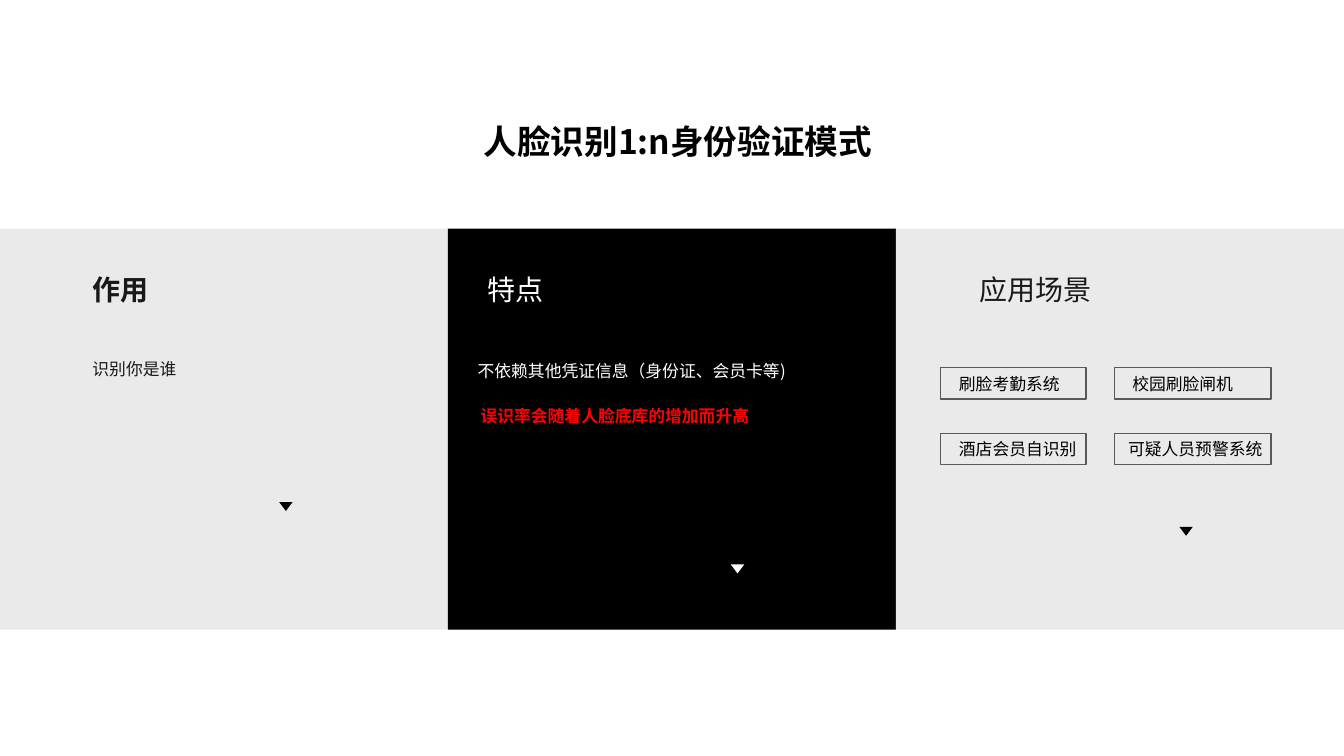
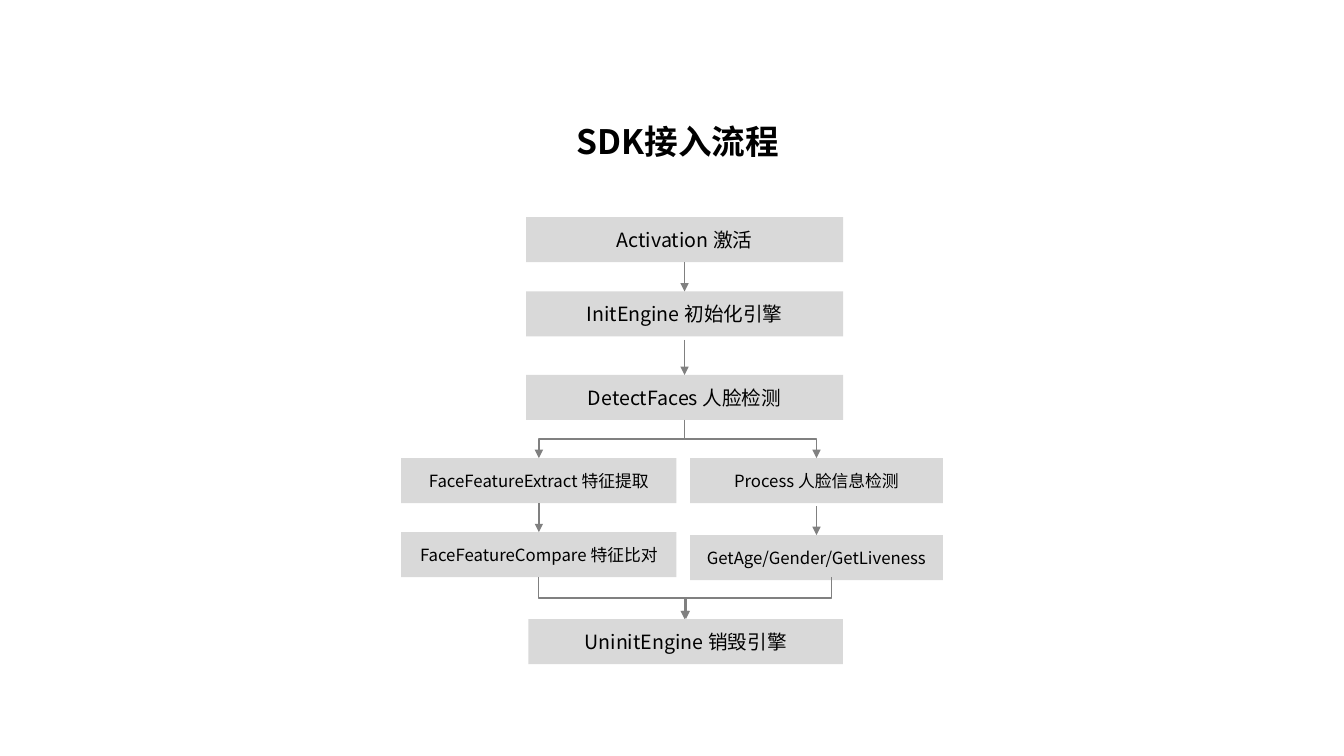
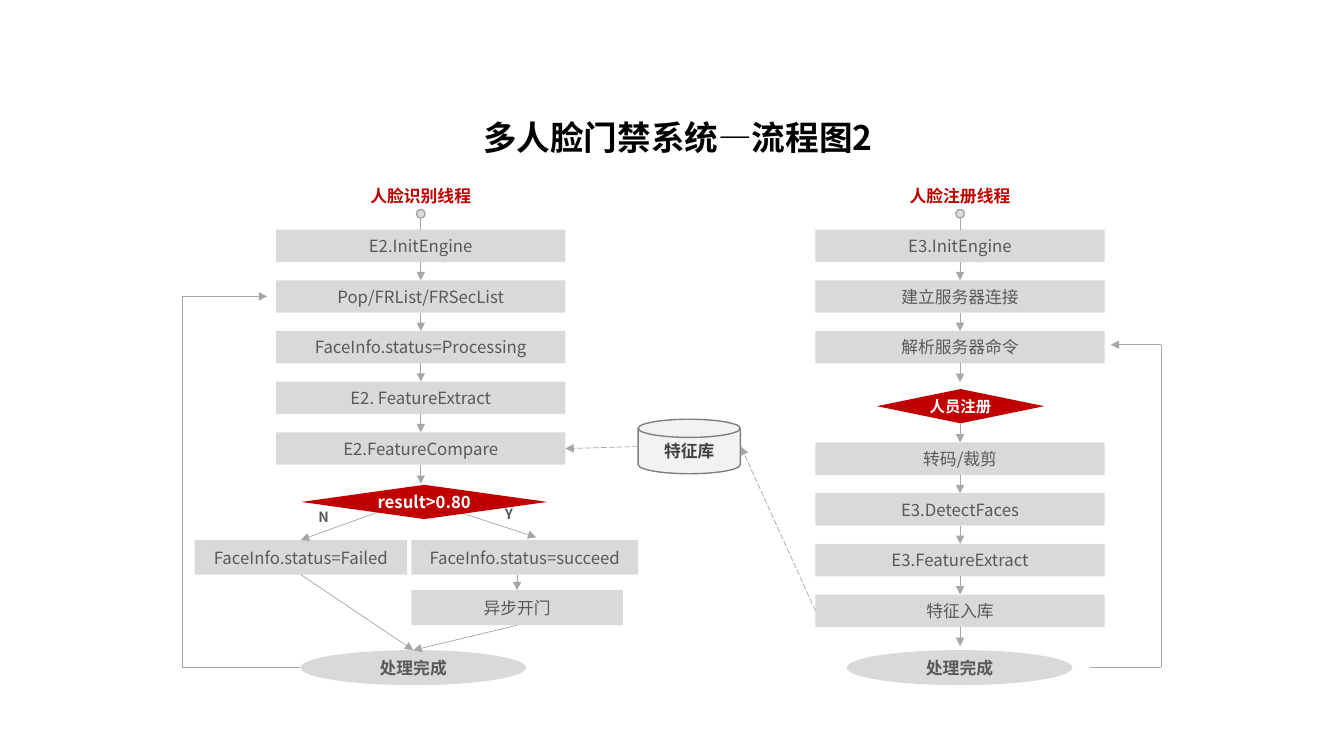
"""Build three slides on face recognition modes and SDK flows."""
from dataclasses import dataclass
from itertools import pairwise
from typing import Any, Optional

from lxml import etree
from pptx import Presentation
from pptx.dml.color import RGBColor
from pptx.enum import dml, shapes, text
from pptx.oxml.ns import qn
from pptx.util import Pt

FONT = "Noto Sans CJK SC"
BLACK, WHITE, INK = "000000", "FFFFFF", "191919"
PANEL, BOX, GREY, RED = "EAEAEA", "D9D9D9", "595959", "C00000"
FLOW_LINE, THREAD_LINE = "808080", "A6A6A6"
KIND = shapes.MSO_SHAPE
LEFT, CENTER = text.PP_ALIGN.LEFT, text.PP_ALIGN.CENTER
TOP_SIDE, LEFT_SIDE, BOTTOM_SIDE, RIGHT_SIDE = range(4)
Point = tuple[float, float]


@dataclass(frozen=True)
class Style:
    size: float = 12
    color: str = BLACK
    bold: bool = False
    align: Any = LEFT
    spacing: Optional[float] = None


@dataclass(frozen=True)
class Label:
    x: float
    y: float
    w: float
    h: float
    words: str
    style: Style = Style()


@dataclass(frozen=True)
class Node:
    x: float
    y: float
    w: float
    h: float
    words: str = ""
    style: Style = Style(align=CENTER)
    kind: Any = KIND.RECTANGLE
    fill: Optional[str] = BOX
    line: Optional[str] = None
    inset: float = 0
    rotation: float = 0


@dataclass(frozen=True)
class Joint:
    node: Any
    side: int


End = Point | Joint

TITLE = Style(24, BLACK, True, CENTER, 0.9)
STEP = Style(12, GREY, align=CENTER)
STRONG_STEP = Style(12, GREY, True, CENTER)


def rgb(value: str) -> RGBColor:
    """Turn a hex string into a colour."""
    return RGBColor.from_string(value)


def write(frame: Any, words: str, style: Style) -> None:
    """Put one styled paragraph in a text frame."""
    frame.text = words
    frame.word_wrap = True
    paragraph = frame.paragraphs[0]
    paragraph.alignment = style.align
    if style.spacing:
        paragraph.line_spacing = style.spacing
    for run in paragraph.runs:
        run.font.size = Pt(style.size)
        run.font.bold = style.bold
        run.font.color.rgb = rgb(style.color)
        run.font.name = FONT
        east_asian = etree.SubElement(run._r.get_or_add_rPr(), qn("a:ea"))
        east_asian.set("typeface", FONT)


def draw_label(slide: Any, label: Label) -> Any:
    """Draw free-standing text and return its frame."""
    box = slide.shapes.add_textbox(Pt(label.x), Pt(label.y), Pt(label.w), Pt(label.h))
    write(box.text_frame, label.words, label.style)
    return box.text_frame


def draw_node(slide: Any, node: Node) -> Any:
    """Draw a filled or outlined shape with optional centred text."""
    shape = slide.shapes.add_shape(node.kind, Pt(node.x), Pt(node.y), Pt(node.w), Pt(node.h))
    shape.shadow.inherit = False
    shape.rotation = node.rotation
    if node.fill:
        shape.fill.solid()
        shape.fill.fore_color.rgb = rgb(node.fill)
    else:
        shape.fill.background()
    if node.line:
        shape.line.color.rgb = rgb(node.line)
        shape.line.width = Pt(1)
    else:
        shape.line.fill.background()
    if node.words:
        frame = shape.text_frame
        write(frame, node.words, node.style)
        frame.vertical_anchor = text.MSO_ANCHOR.MIDDLE
        frame.margin_left = Pt(node.inset)
        frame.margin_right = frame.margin_top = frame.margin_bottom = 0
    return shape


def style_line(connector: Any, color: str, width: float, head: bool, dashed: bool = False) -> None:
    """Give a connector its colour, width, dash and arrowhead."""
    connector.line.color.rgb = rgb(color)
    connector.line.width = Pt(width)
    if dashed:
        connector.line.dash_style = dml.MSO_LINE.LONG_DASH
    if head:
        etree.SubElement(connector.line._get_or_add_ln(), qn("a:tailEnd")).set("type", "triangle")
    etree.SubElement(connector._element.spPr, qn("a:effectLst"))


def draw_line(slide: Any, start: End, end: End, color: str = THREAD_LINE, width: float = 0.5,
              head: bool = True, dashed: bool = False) -> None:
    """Draw a straight line between points or shape sides."""
    (x1, y1), (x2, y2) = ((0, 0) if isinstance(e, Joint) else e for e in (start, end))
    connector = slide.shapes.add_connector(
        shapes.MSO_CONNECTOR.STRAIGHT, Pt(x1), Pt(y1), Pt(x2), Pt(y2))
    if isinstance(start, Joint):
        connector.begin_connect(start.node, start.side)
    if isinstance(end, Joint):
        connector.end_connect(end.node, end.side)
    style_line(connector, color, width, head, dashed)


def draw_elbow(slide: Any, start: Point, end: Point) -> None:
    """Draw a down-across-down connector as a turned elbow."""
    (x1, y1), (x2, y2) = start, end
    mid_x, mid_y = (x1 + x2) / 2, (y1 + y2) / 2
    rightward = x2 > x1
    half_w = (y2 - y1) / 2 * (-1 if rightward else 1)
    half_h = abs(x2 - x1) / 2
    connector = slide.shapes.add_connector(
        shapes.MSO_CONNECTOR.ELBOW, Pt(mid_x - half_w), Pt(mid_y - half_h),
        Pt(mid_x + half_w), Pt(mid_y + half_h))
    turn = 270 if rightward else 90
    connector._element.spPr.find(qn("a:xfrm")).set("rot", str(turn * 60000))
    style_line(connector, FLOW_LINE, 1, True)


def draw_route(slide: Any, points: list[Point]) -> None:
    """Draw a chain of straight lines with an arrowhead on the last."""
    for start, end in pairwise(points):
        draw_line(slide, start, end, head=end == points[-1])


def draw_thread(slide: Any, x: float, y: float, steps: list[str]) -> list[Any]:
    """Draw a column of thread steps joined by arrows."""
    nodes = [draw_node(slide, Node(x, y + i * 36.2, 206.6, 23.2, step, STEP))
             for i, step in enumerate(steps)]
    for upper, lower in pairwise(nodes):
        draw_line(slide, Joint(upper, BOTTOM_SIDE), Joint(lower, TOP_SIDE))
    return nodes


def draw_thread_start(slide: Any, name: str, first: Any, center: float) -> None:
    """Draw the heading and start dot above a thread."""
    draw_line(slide, (center, 155), Joint(first, TOP_SIDE), head=False)
    draw_node(slide, Node(center - 3, 149.7, 6, 6, kind=KIND.OVAL, fill="DDDDDD", line="A3A3A3"))
    draw_label(slide, Label(center - 44, 128.9, 88, 21.6, name, Style(12, RED, True, CENTER)))


def new_slide(deck: Any, title: str, top: float = 89.3) -> Any:
    """Add a blank slide with the shared title."""
    slide = deck.slides.add_slide(deck.slide_layouts[6])
    frame = draw_label(slide, Label(49.7, top, 869, 37.4, title, TITLE))
    frame.margin_left = frame.margin_right = frame.margin_top = frame.margin_bottom = 0
    return slide


def build_mode(deck: Any) -> None:
    """Build the 1:n verification mode slide."""
    slide = new_slide(deck, "人脸识别1:n身份验证模式")
    for column, fill in enumerate((PANEL, BLACK, PANEL)):
        draw_node(slide, Node(column * 320, 163.4, 320, 286.4, fill=fill))
    for x, y, fill in ((522, 403.2, WHITE), (199.4, 358.6, BLACK), (842.4, 376.3, BLACK)):
        draw_node(slide, Node(x, y, 9.6, 6.4, kind=KIND.ISOSCELES_TRIANGLE, fill=fill, rotation=180))
    for x, heading, color, bold in ((59, "作用", INK, True), (341.3, "特点", WHITE, False),
                                    (692.6, "应用场景", INK, False)):
        draw_label(slide, Label(x, 190.8, 96.5, 31.7, heading, Style(20, color, bold)))
    for label in (
        Label(59, 245.5, 115.2, 26.6, "识别你是谁", Style(12, INK, spacing=1.5)),
        Label(334.1, 254.2, 241.2, 21.6, "不依赖其他凭证信息（身份证、会员卡等)", Style(12, WHITE)),
        Label(336.2, 286.6, 214.6, 21.6, "误识率会随着人脸底库的增加而升高", Style(12, "FF0000", True)),
    ):
        draw_label(slide, label)
    scenes = ((("刷脸考勤系统", 13), ("校园刷脸闸机", 12.6)),
              (("酒店会员自识别", 13), ("可疑人员预警系统", 9.6)))
    for row, pair in enumerate(scenes):
        for (scene, inset), (x, w) in zip(pair, ((672, 103.7), (796.2, 111.6))):
            draw_node(slide, Node(x, 262.6 + row * 46.9, w, 22.5, scene, Style(), fill=None,
                                  line=GREY, inset=inset))


def build_sdk(deck: Any) -> None:
    """Build the SDK integration flow slide."""
    slide = new_slide(deck, "SDK接入流程")
    large = Style(14, align=CENTER)
    main, left, right = (375.8, 226.4), (286.6, 196.6), (492.9, 180.6)

    def step(lane: Point, y: float, words: str, style: Style = Style(align=CENTER)) -> Any:
        """Draw one flow step in a lane."""
        return draw_node(slide, Node(lane[0], y, lane[1], 32.2, words, style))

    activation = step(main, 155.1, "Activation 激活", large)
    init = step(main, 208.2, "InitEngine 初始化引擎", large)
    detect = step(main, 267.8, "DetectFaces 人脸检测", large)
    extract = step(left, 327.2, "FaceFeatureExtract 特征提取")
    compare = step(left, 380.1, "FaceFeatureCompare 特征比对")
    step(right, 327.2, "Process 人脸信息检测")
    attributes = step(right, 382.2, "GetAge/Gender/GetLiveness")
    step((377.4, 224.8), 442.2, "UninitEngine 销毁引擎", large)

    for start, end in (
        (Joint(activation, BOTTOM_SIDE), Joint(init, TOP_SIDE)),
        ((489, 242.8), Joint(detect, TOP_SIDE)),
        (Joint(extract, BOTTOM_SIDE), Joint(compare, TOP_SIDE)),
        ((583.2, 361.5), Joint(attributes, TOP_SIDE)),
    ):
        draw_line(slide, start, end, FLOW_LINE, 1)
    for start, end in (
        ((489, 300), (583.2, 327.2)), ((489, 300), (384.9, 327.2)),
        ((384.9, 412.3), (490, 442.2)), ((594, 412.3), (489, 442.2)),
    ):
        draw_elbow(slide, start, end)


def build_access(deck: Any) -> None:
    """Build the multi-face access control flow slide."""
    slide = new_slide(deck, "多人脸门禁系统—流程图2", 86.4)
    failed = draw_node(slide, Node(139, 385.7, 151.9, 24.8, "FaceInfo.status=Failed", STEP))
    succeed = Node(293.8, 385.7, 162, 24.8, "FaceInfo.status=succeed", STEP)
    draw_node(slide, succeed)
    unlock = draw_node(slide, Node(293.8, 421.6, 151.2, 25, "异步开门", STEP))
    draw_line(slide, (272.2, 365), Joint(failed, TOP_SIDE))
    draw_line(slide, (325.4, 365), (383, 383.8))

    recognition = draw_thread(slide, 197.3, 164, [
        "E2.InitEngine", "Pop/FRList/FRSecList", "FaceInfo.status=Processing",
        "E2. FeatureExtract", "E2.FeatureCompare"])
    registration = draw_thread(slide, 582.5, 164, ["E3.InitEngine", "建立服务器连接", "解析服务器命令"])
    storage = draw_thread(slide, 582.5, 316.1, [
        "转码/裁剪", "E3.DetectFaces", "E3.FeatureExtract", "特征入库"])
    draw_thread_start(slide, "人脸识别线程", recognition[0], 300.6)
    draw_thread_start(slide, "人脸注册线程", registration[0], 685.8)

    for x, y, w, words, size in ((215.3, 346.3, 175.7, "result>0.80", 12),
                                 (626.4, 277.9, 119.5, "人员注册", 11)):
        draw_node(slide, Node(x, y, w, 24.5, words, Style(size, WHITE, True, CENTER),
                              KIND.FLOWCHART_DECISION, RED))
    for x in (214.6, 604.8):
        draw_node(slide, Node(x, 464.4, 161.3, 25, "处理完成", STRONG_STEP, KIND.OVAL))
    draw_node(slide, Node(455.8, 299.5, 73, 38.9, "特征库", Style(12, "404040", True, CENTER),
                          KIND.FLOWCHART_MAGNETIC_DISK, "F2F2F2", FLOW_LINE))
    for x, y, branch in ((220.3, 360, "N"), (353.5, 357.8, "Y")):
        draw_label(slide, Label(x, y, 22.3, 19.4, branch, Style(10, GREY, True)))

    finish = (295.2, 464.4)
    for start, end in (
        (Joint(recognition[-1], BOTTOM_SIDE), (300.6, 345.6)),
        (Joint(registration[-1], BOTTOM_SIDE), (685.8, 272.9)),
        ((685.8, 303), Joint(storage[0], TOP_SIDE)),
        (Joint(storage[-1], BOTTOM_SIDE), (685.8, 461.5)),
        ((369.4, 410.5), Joint(unlock, TOP_SIDE)),
        (Joint(unlock, BOTTOM_SIDE), finish),
        (Joint(failed, BOTTOM_SIDE), finish),
    ):
        draw_line(slide, start, end)
    draw_line(slide, (455.8, 319), Joint(recognition[-1], RIGHT_SIDE), dashed=True)
    draw_line(slide, Joint(storage[-1], LEFT_SIDE), (529.2, 319), dashed=True)
    draw_route(slide, [(214.6, 476.6), (130.3, 476.6), (130.3, 211.7), (190.8, 211.7)])
    draw_route(slide, [(778.3, 476.6), (829.4, 476.6), (829.4, 246.2), (793.4, 246.2)])


def main() -> None:
    """Build and save the presentation."""
    deck = Presentation()
    deck.slide_width, deck.slide_height = Pt(960), Pt(540)
    build_mode(deck)
    build_sdk(deck)
    build_access(deck)
    deck.save("out.pptx")


if __name__ == "__main__":
    main()
